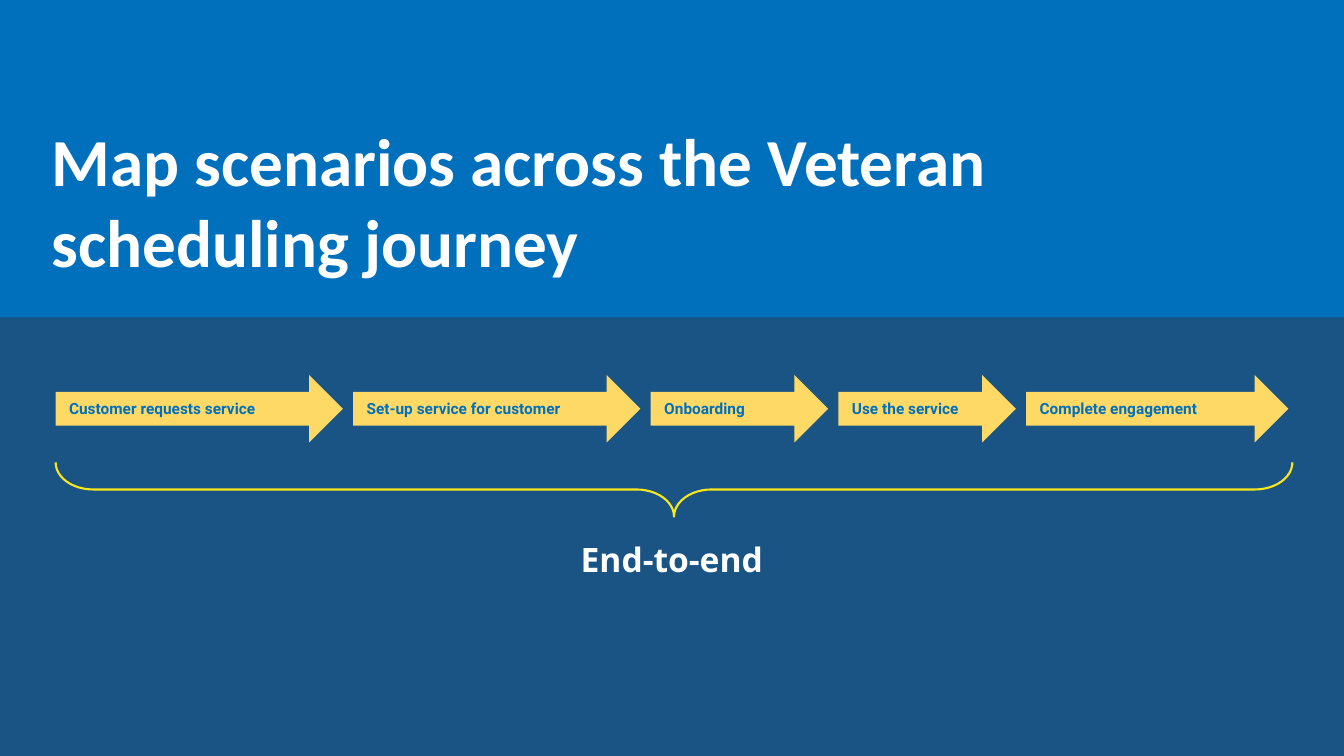
"""Build the slide that maps scenarios across the Veteran scheduling journey."""
from dataclasses import dataclass

from pptx import Presentation
from pptx.dml.color import RGBColor
from pptx.enum.shapes import MSO_SHAPE
from pptx.enum.text import MSO_ANCHOR, PP_ALIGN
from pptx.shapes.autoshape import Shape
from pptx.slide import Slide
from pptx.util import Cm, Pt

NAVY = RGBColor(0x1A, 0x54, 0x84)
BLUE = RGBColor(0x00, 0x70, 0xBC)
GOLD = RGBColor(0xFF, 0xD9, 0x66)
YELLOW = RGBColor(0xF8, 0xE7, 0x1C)
WHITE = RGBColor(0xFF, 0xFF, 0xFF)

SLIDE_WIDTH, SLIDE_HEIGHT = 33.87, 19.05
JOURNEY_LEFT, JOURNEY_TOP = 1.4, 9.45
STAGE_HEIGHT, STAGE_GAP = 1.7, 0.26


@dataclass(frozen=True)
class Box:
    """Position and size in centimetres."""
    left: float
    top: float
    width: float
    height: float

    def lengths(self) -> tuple[Cm, Cm, Cm, Cm]:
        """Return the four lengths in the order that shapes take them."""
        return Cm(self.left), Cm(self.top), Cm(self.width), Cm(self.height)


@dataclass(frozen=True)
class TextStyle:
    """Look of a bold text and its place within its shape."""
    font: str
    size: int
    color: RGBColor
    inset: float
    anchor: MSO_ANCHOR
    align: PP_ALIGN = PP_ALIGN.LEFT


@dataclass(frozen=True)
class Stage:
    """One arrow of the journey."""
    label: str
    width: float


TITLE_STYLE = TextStyle("Calibri", 48, WHITE, 0.13, MSO_ANCHOR.BOTTOM)
STAGE_STYLE = TextStyle("Roboto", 11, BLUE, 0.34, MSO_ANCHOR.MIDDLE)
SUMMARY_STYLE = TextStyle("Open Sans", 24, WHITE, 0.34, MSO_ANCHOR.TOP, PP_ALIGN.CENTER)

STAGES = (
    Stage("Customer requests service", 7.24),
    Stage("Set-up service for customer", 7.24),
    Stage("Onboarding", 4.47),
    Stage("Use the service", 4.47),
    Stage("Complete engagement", 6.61),
)


def write(shape: Shape, text: str, style: TextStyle) -> None:
    """Put a styled text into a shape."""
    frame = shape.text_frame
    frame.text = text
    frame.word_wrap = True
    frame.vertical_anchor = style.anchor
    frame.margin_left = frame.margin_right = Cm(style.inset)
    frame.margin_top = frame.margin_bottom = Cm(style.inset)
    paragraph = frame.paragraphs[0]
    paragraph.alignment = style.align
    font = paragraph.runs[0].font
    font.name, font.size, font.bold = style.font, Pt(style.size), True
    font.color.rgb = style.color


def add_filled(slide: Slide, kind: MSO_SHAPE, box: Box, color: RGBColor) -> Shape:
    """Add a filled shape without outline or shadow."""
    shape = slide.shapes.add_shape(kind, *box.lengths())
    shape.shadow.inherit = False
    shape.fill.solid()
    shape.fill.fore_color.rgb = color
    shape.line.fill.background()
    return shape


def add_text(slide: Slide, box: Box, text: str, style: TextStyle) -> None:
    """Add a text box."""
    write(slide.shapes.add_textbox(*box.lengths()), text, style)


def add_journey(slide: Slide) -> None:
    """Add the stages from left to right with equal gaps."""
    left = JOURNEY_LEFT
    for stage in STAGES:
        box = Box(left, JOURNEY_TOP, stage.width, STAGE_HEIGHT)
        arrow = add_filled(slide, MSO_SHAPE.RIGHT_ARROW, box, GOLD)
        write(arrow, stage.label, STAGE_STYLE)
        left += stage.width + STAGE_GAP


def add_brace(slide: Slide, box: Box) -> None:
    """Add the brace that opens upwards over the whole journey."""
    brace = slide.shapes.add_shape(MSO_SHAPE.RIGHT_BRACE, *box.lengths())
    brace.rotation = 90
    brace.adjustments[0] = 0.69
    brace.shadow.inherit = False
    brace.fill.background()
    brace.line.color.rgb = YELLOW
    brace.line.width = Pt(1.5)


def main() -> None:
    """Build and save the slide."""
    deck = Presentation()
    deck.slide_width, deck.slide_height = Cm(SLIDE_WIDTH), Cm(SLIDE_HEIGHT)
    slide = deck.slides.add_slide(deck.slide_layouts[6])
    add_filled(slide, MSO_SHAPE.RECTANGLE, Box(0, 0, SLIDE_WIDTH, SLIDE_HEIGHT), NAVY)
    add_filled(slide, MSO_SHAPE.RECTANGLE, Box(0, 0, SLIDE_WIDTH, 8), BLUE)
    add_text(slide, Box(1.17, 1.37, 25.68, 5.84),
             "Map scenarios across the Veteran scheduling journey", TITLE_STYLE)
    add_journey(slide)
    add_brace(slide, Box(16.3, -3.25, 1.37, 31.17))
    add_text(slide, Box(10.39, 13.23, 13.08, 3.48), "End-to-end", SUMMARY_STYLE)
    deck.save("out.pptx")


if __name__ == "__main__":
    main()
